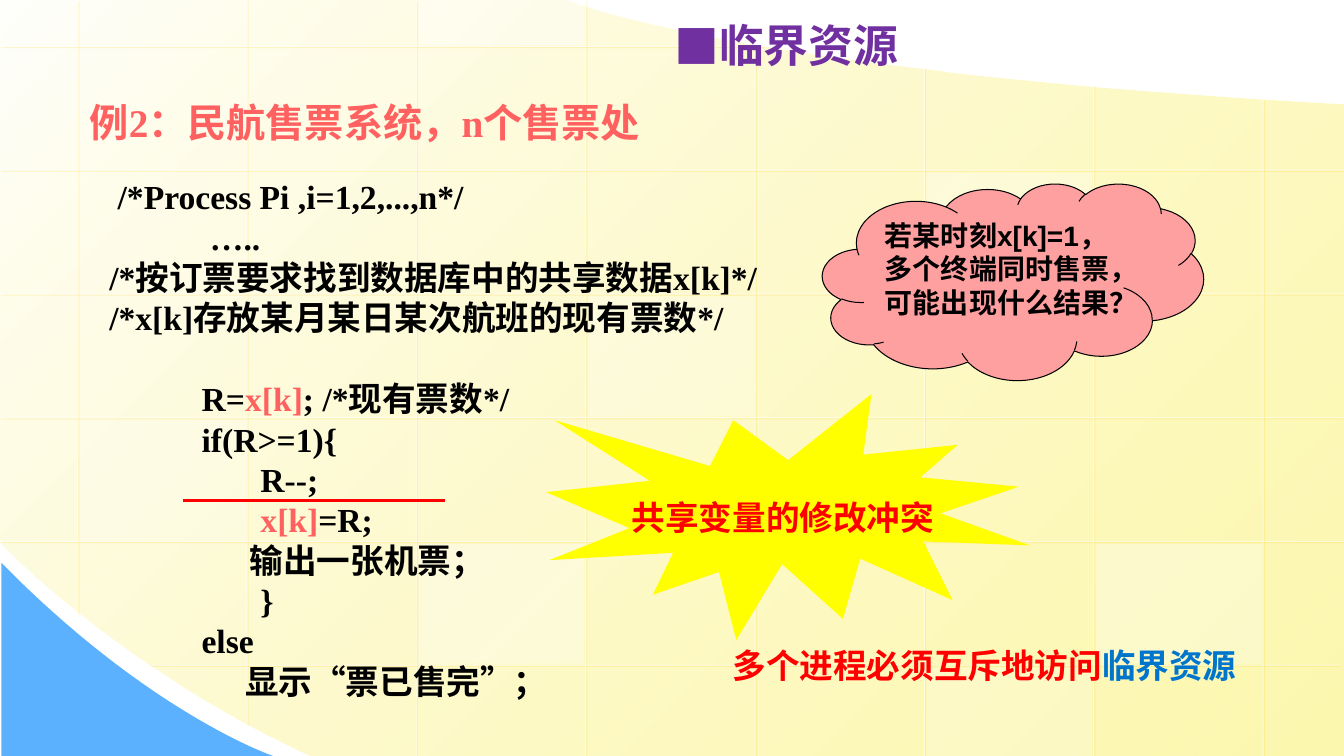
import dataclasses

import lxml.etree
import pptx
import pptx.dml.color
import pptx.enum.shapes
import pptx.enum.text
import pptx.oxml.ns
import pptx.util

Pt = pptx.util.Pt
qn = pptx.oxml.ns.qn
MSO_SHAPE = pptx.enum.shapes.MSO_SHAPE

WIDTH, HEIGHT = 960, 540
GRID_X, GRID_Y = 55.4, 33.1
STEP_X, STEP_Y = 120.96, 88.4


@dataclasses.dataclass(frozen=True)
class Theme:
    white: str = "FFFFFF"
    black: str = "000000"
    cream: str = "FFFFFB"
    lemon: str = "FDF58D"
    sky: str = "5CB1FE"
    gold: str = "FFCC00"
    yellow: str = "FFFF00"
    red: str = "FF0000"
    coral: str = "FF6161"
    pink: str = "FFA0A0"
    purple: str = "7030A0"
    blue: str = "0075CC"
    title: int = 32
    heading: int = 28
    body: int = 24
    note: int = 20
    sans: str = "Arial"
    serif: str = "Times New Roman"
    cjk: str = "Noto Sans CJK SC"


def rgb(color):
    return pptx.dml.color.RGBColor.from_string(color)


def add_xml(parent, tag, **attributes):
    values = {name: str(value) for name, value in attributes.items()}
    return lxml.etree.SubElement(parent, qn(tag), values)


def set_alpha(color_element, percent):
    add_xml(color_element, "a:alpha", val=percent * 1000)


def curve(start, control1, control2, end, steps=40):
    points = []
    for i in range(steps + 1):
        t = i / steps
        weights = ((1 - t) ** 3, 3 * t * (1 - t) ** 2, 3 * t * t * (1 - t), t ** 3)
        corners = (start, control1, control2, end)
        points.append(tuple(sum(w * c[axis] for w, c in zip(weights, corners)) for axis in (0, 1)))
    return points


class SlideBuilder:
    def __init__(self, slide, theme):
        self.s = slide
        self.theme = theme

    def outline(self, points):
        corners = [(Pt(x), Pt(y)) for x, y in points]
        builder = self.s.shapes.build_freeform(*corners[0], scale=1.0)
        builder.add_line_segments(corners[1:], close=True)
        sp = builder.convert_to_shape()
        sp.shadow.inherit = False
        sp.line.fill.background()
        return sp

    def shape(self, kind, left, top, width, height, fill, alpha=100, line=None):
        sp = self.s.shapes.add_shape(kind, Pt(left), Pt(top), Pt(width), Pt(height))
        sp.shadow.inherit = False
        sp.fill.solid()
        sp.fill.fore_color.rgb = rgb(fill)
        if alpha < 100:
            set_alpha(sp.element.spPr.find(".//" + qn("a:srgbClr")), alpha)
        if line:
            sp.line.color.rgb = rgb(line)
            sp.line.width = Pt(0.75)
        else:
            sp.line.fill.background()
        return sp

    def line(self, x1, y1, x2, y2, color, width):
        straight = pptx.enum.shapes.MSO_CONNECTOR.STRAIGHT
        connector = self.s.shapes.add_connector(straight, Pt(x1), Pt(y1), Pt(x2), Pt(y2))
        connector.line.color.rgb = rgb(color)
        connector.line.width = Pt(width)
        return connector, add_xml(connector.element.spPr, "a:effectLst")

    def grid_line(self, x1, y1, x2, y2):
        connector, effects = self.line(x1, y1, x2, y2, self.theme.white, 0.75)
        set_alpha(connector.element.spPr.find(".//" + qn("a:srgbClr")), 50)
        shadow = add_xml(effects, "a:outerShdw", dist=Pt(1.4), dir=45 * 60000, algn="ctr", rotWithShape=0)
        set_alpha(add_xml(shadow, "a:srgbClr", val=self.theme.gold), 34)

    def panel(self, column, row, alpha):
        left = GRID_X + column * STEP_X + 2
        top = max(0, GRID_Y + row * STEP_Y + 2)
        bottom = min(HEIGHT, GRID_Y + (row + 1) * STEP_Y - 1)
        self.shape(MSO_SHAPE.RECTANGLE, left, top, 118, bottom - top, self.theme.white, alpha)

    def add_runs(self, p, pieces, size, font):
        for text, color in pieces:
            r = p.add_run()
            r.text = text
            r.font.size = Pt(size)
            r.font.bold = True
            r.font.color.rgb = rgb(color)
            r.font.name = font
            add_xml(r._r.get_or_add_rPr(), "a:ea", typeface=self.theme.cjk)

    def text(self, left, top, width, height, pieces, size, font):
        box = self.s.shapes.add_textbox(Pt(left), Pt(top), Pt(width), Pt(height))
        tf = box.text_frame
        tf.word_wrap = True
        self.add_runs(tf.paragraphs[0], pieces, size, font)
        return tf

    def title(self, left, top, width, height, text):
        tf = self.text(left, top, width, height, [(text, self.theme.purple)], self.theme.title, self.theme.cjk)
        p = tf.paragraphs[0]
        pPr = p._p.get_or_add_pPr()
        pPr.set("marL", str(Pt(26)))
        pPr.set("indent", str(Pt(-26)))
        add_xml(pPr, "a:buFont", typeface=self.theme.cjk)
        add_xml(pPr, "a:buChar", char="■")
        p.line_spacing = 1.1

    def code(self, left, top, width, height, lines):
        first, *rest = lines
        tf = self.text(left, top, width, height, first[0], self.theme.body, self.theme.serif)
        for pieces, indent, space_before in rest:
            p = tf.add_paragraph()
            p._p.get_or_add_pPr().set("marL", str(Pt(indent)))
            p.space_before = Pt(space_before)
            self.add_runs(p, pieces, self.theme.body, self.theme.serif)

    def cloud(self, left, top, width, height, text):
        t = self.theme
        sp = self.shape(MSO_SHAPE.CLOUD, left, top, width, height, t.pink, line=t.black)
        tf = sp.text_frame
        tf.word_wrap = True
        tf.vertical_anchor = pptx.enum.text.MSO_ANCHOR.TOP
        p = tf.paragraphs[0]
        p.alignment = pptx.enum.text.PP_ALIGN.LEFT
        self.add_runs(p, [(text, t.black)], t.note, t.sans)

    def background(self):
        t = self.theme
        top_edge = curve((404, 0), (404, 0), (515, 50), (WIDTH, 75))
        lower_edge = curve((221, HEIGHT), (83, 476), (0, 388), (0, 388))
        field = self.outline([(0, 0)] + top_edge + [(WIDTH, HEIGHT)] + lower_edge)
        field.fill.gradient()
        field.fill.gradient_angle = 315
        for stop, color, position in zip(field.fill.gradient_stops, (t.cream, t.lemon), (0, 1)):
            stop.color.rgb = rgb(color)
            stop.position = position
        set_alpha(field.element.spPr.findall(".//" + qn("a:srgbClr"))[-1], 70)

        corner = self.outline(curve((195, HEIGHT), (195, HEIGHT), (107, 510), (1, 402)) + [(1, HEIGHT)])
        corner.fill.solid()
        corner.fill.fore_color.rgb = rgb(t.sky)

        tops = (0, 0, 0, 0, 31, 49, 61, 70.5)
        bottoms = (438.5, 517.7) + (HEIGHT,) * 6
        for i, (top, bottom) in enumerate(zip(tops, bottoms)):
            x = GRID_X + i * STEP_X
            self.grid_line(x, top, x, bottom)
        spans = [(545, 0)] + [(WIDTH, 0)] * 4 + [(957, 106.6)]
        for i, (right, left) in enumerate(spans):
            y = GRID_Y + i * STEP_Y
            self.grid_line(right, y, left, y)
        for cell in ((3, 2, 25), (6, 4, 30), (0, 3, 20), (5, 5, 20), (2, -1, 40), (2, 4, 30), (5, 1, 30)):
            self.panel(*cell)


def main():
    prs = pptx.Presentation()
    prs.slide_width, prs.slide_height = Pt(WIDTH), Pt(HEIGHT)
    t = Theme()
    page = SlideBuilder(prs.slides.add_slide(prs.slide_layouts[6]), t)
    page.background()

    page.shape(MSO_SHAPE.EXPLOSION1, 390.2, 281.5, 345.6, 175.7, t.yellow)
    page.text(444.2, 351.4, 238.3, 36, [("共享变量的修改冲突", t.red)], t.body, t.cjk)
    page.text(57, 67, 456, 46, [("例2：民航售票系统，n个售票处", t.coral)], t.heading, t.serif)

    ticket_code = [
        ([("   /*Process Pi ,i=1,2,...,n*/", t.black)], 0, 0),
        ([("              …..", t.black)], 0, 0),
        ([("  /*按订票要求找到数据库中的共享数据x[k]*/", t.black)], 0, 0),
        ([("  /*x[k]存放某月某日某次航班的现有票数*/", t.black)], 0, 0),
        ([("             R=", t.black), ("x[k]", t.coral), ("; /*现有票数*/", t.black)], 0, 29),
        ([("             if(R>=1){", t.black)], 0, 0),
        ([("              R--;", t.black)], 36, 0),
        ([("              ", t.black), ("x[k]", t.coral), ("=R;", t.black)], 36, 0),
        ([("              输出一张机票；", t.black)], 36, 0),
        ([("                    }", t.black)], 0, 0),
        ([("             else", t.black)], 0, 0),
        ([("                    显示“票已售完”；", t.black)], 0, 0),
    ]
    page.code(59, 122.4, 572.4, 385.2, ticket_code)
    page.line(131, 357.8, 318.2, 357.8, t.red, 2.25)
    page.cloud(587.5, 131, 272.2, 140.4, "若某时刻x[k]=1，多个终端同时售票，可能出现什么结果？")
    page.title(474.5, 5, 178, 49.7, "临界资源")
    conclusion = [("多个进程必须互斥地访问", t.red), ("临界资源", t.blue)]
    page.text(516.2, 457.2, 394.6, 36, conclusion, t.body, t.sans)
    prs.save("out.pptx")


if __name__ == "__main__":
    main()
